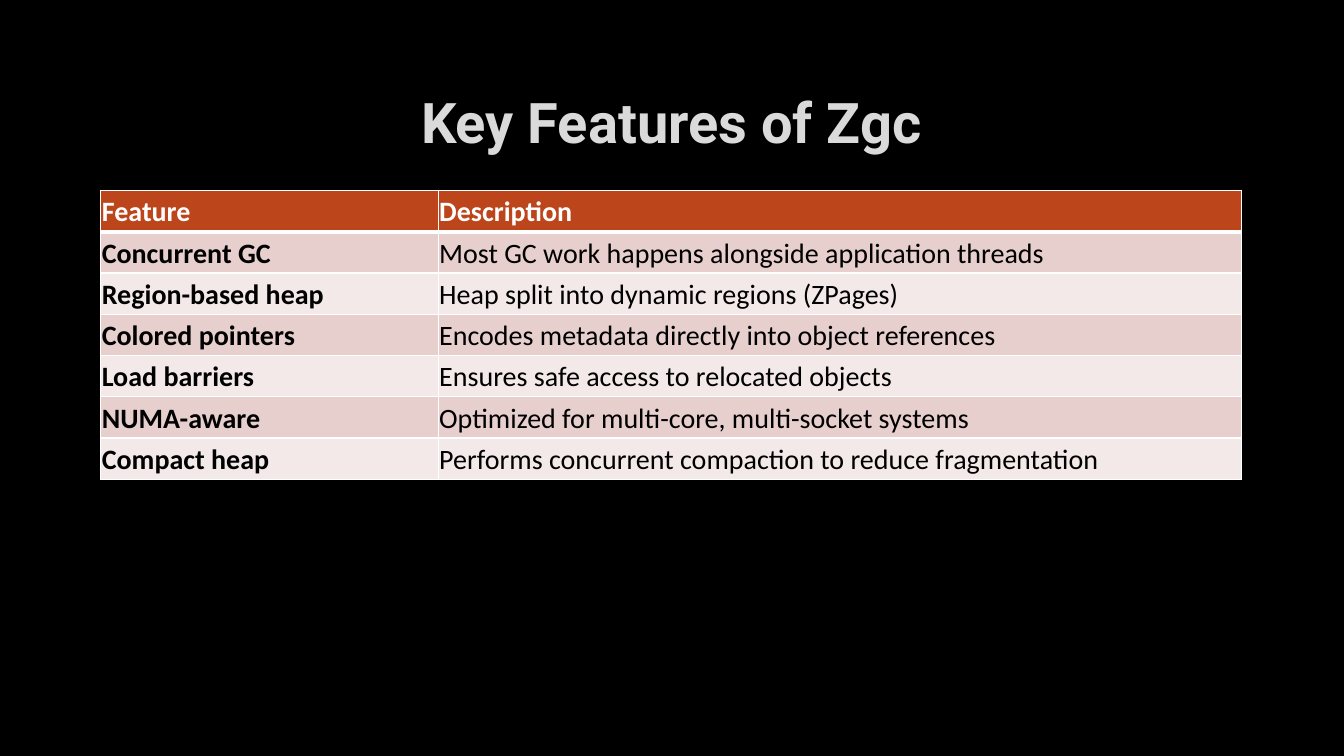
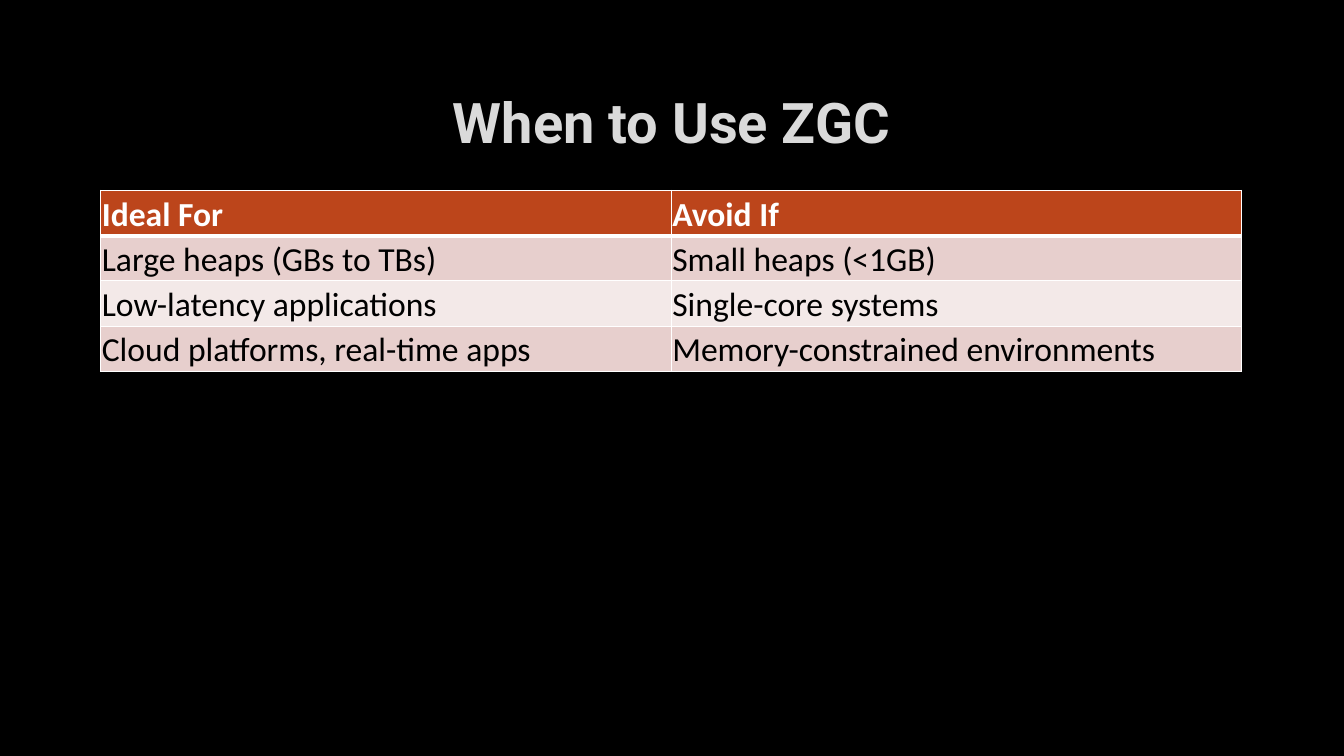
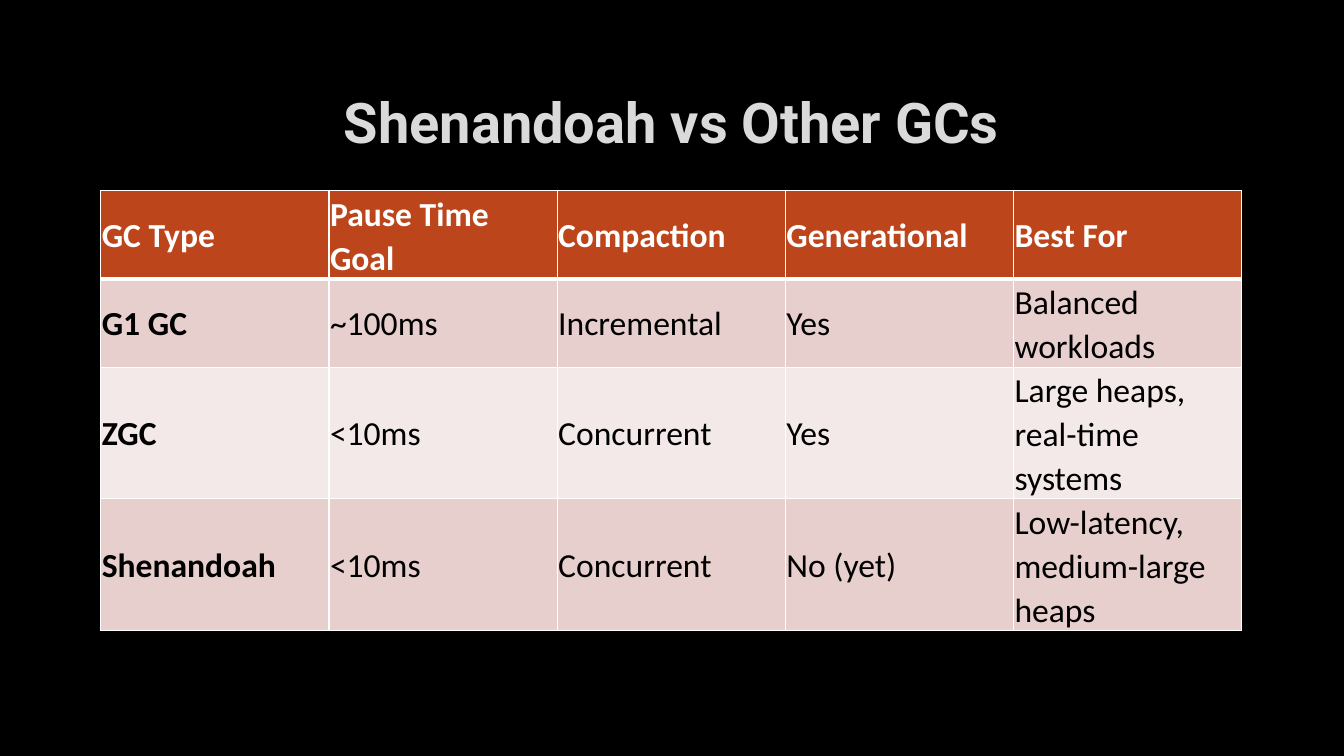
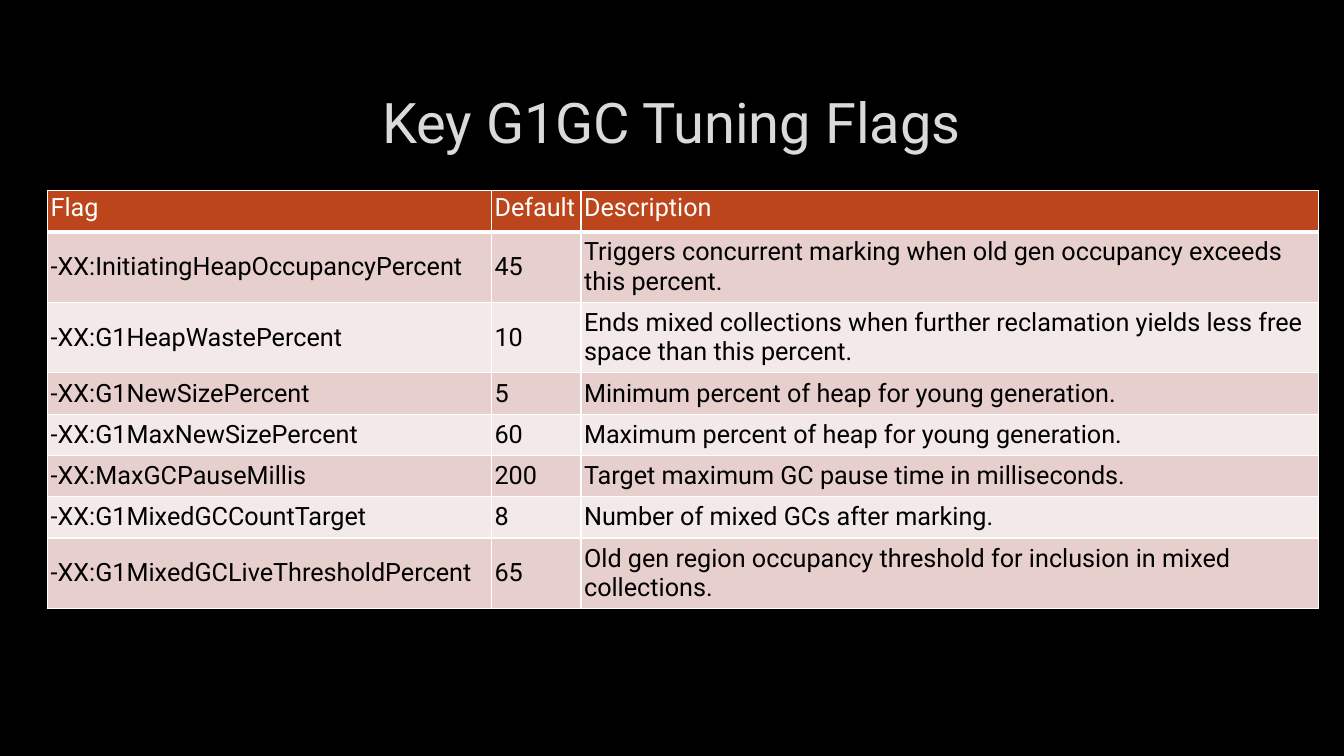
from pptx import Presentation
from pptx.dml.color import RGBColor
from pptx.enum.text import MSO_ANCHOR, PP_ALIGN
from pptx.oxml.ns import qn
from pptx.util import Pt
from lxml.etree import SubElement

BLACK = RGBColor(0x00, 0x00, 0x00)
WHITE = RGBColor(0xFF, 0xFF, 0xFF)
TITLE_GREY = RGBColor(0xDA, 0xDA, 0xDA)
RUST = RGBColor(0xBC, 0x45, 0x1B)
BANDS = [RGBColor(0xE7, 0xCF, 0xCD), RGBColor(0xF3, 0xE9, 0xE8)]

TABLE_TOP, ROW_HEIGHT = 136, 29.5

# Table looks: cell insets are (horizontal, vertical)
CALIBRI = dict(font="Calibri", bold_header=True, spacing=1.07, after=8,
               header_anchor=MSO_ANCHOR.MIDDLE,
               header_inset=(0.75, 0.75), body_inset=(0.75, 0.75))
ROBOTO = dict(font="Roboto", bold_header=False, spacing=1, after=0,
              header_anchor=MSO_ANCHOR.TOP,
              header_inset=(2.25, 2.25), body_inset=(2.25, 3.6))

# Content: the first row of each table is its header
SLIDES = [
    dict(title="Key Features of Zgc", bold_title=True, look=CALIBRI, size=20,
         left=72, columns=[241, 574], bold_first=True, rows=[
             ("Feature", "Description"),
             ("Concurrent GC", "Most GC work happens alongside application threads"),
             ("Region-based heap", "Heap split into dynamic regions (ZPages)"),
             ("Colored pointers", "Encodes metadata directly into object references"),
             ("Load barriers", "Ensures safe access to relocated objects"),
             ("NUMA-aware", "Optimized for multi-core, multi-socket systems"),
             ("Compact heap", "Performs concurrent compaction to reduce fragmentation"),
         ]),
    dict(title="When to Use ZGC", bold_title=True, look=CALIBRI, size=24,
         left=72, columns=[407.5] * 2, bold_first=False, rows=[
             ("Ideal For", "Avoid If"),
             ("Large heaps (GBs to TBs)", "Small heaps (<1GB)"),
             ("Low-latency applications", "Single-core systems"),
             ("Cloud platforms, real-time apps", "Memory-constrained environments"),
         ]),
    dict(title="Shenandoah vs Other GCs", bold_title=True, look=CALIBRI, size=24,
         left=72, columns=[163] * 5, bold_first=True, rows=[
             ("GC Type", "Pause Time Goal", "Compaction", "Generational", "Best For"),
             ("G1 GC", "~100ms", "Incremental", "Yes", "Balanced workloads"),
             ("ZGC", "<10ms", "Concurrent", "Yes", "Large heaps, real-time systems"),
             ("Shenandoah", "<10ms", "Concurrent", "No (yet)",
              "Low-latency, medium-large heaps"),
         ]),
    dict(title="Key G1GC Tuning Flags", bold_title=False, look=ROBOTO, size=18,
         left=34, columns=[317, 64, 527], bold_first=False, rows=[
             ("Flag", "Default", "Description"),
             ("-XX:InitiatingHeapOccupancyPercent", "45",
              "Triggers concurrent marking when old gen occupancy exceeds this percent."),
             ("-XX:G1HeapWastePercent", "10",
              "Ends mixed collections when further reclamation yields less free space "
              "than this percent."),
             ("-XX:G1NewSizePercent", "5", "Minimum percent of heap for young generation."),
             ("-XX:G1MaxNewSizePercent", "60", "Maximum percent of heap for young generation."),
             ("-XX:MaxGCPauseMillis", "200", "Target maximum GC pause time in milliseconds."),
             ("-XX:G1MixedGCCountTarget", "8", "Number of mixed GCs after marking."),
             ("-XX:G1MixedGCLiveThresholdPercent", "65",
              "Old gen region occupancy threshold for inclusion in mixed collections."),
         ]),
]


def set_font(p, name, size, color, bold):
    p.font.name, p.font.size, p.font.bold = name, Pt(size), bold
    p.font.color.rgb = color


def add_title(slide, text, bold):
    tf = slide.shapes.add_textbox(Pt(72), Pt(48), Pt(815), Pt(76.5)).text_frame
    tf.word_wrap = True
    tf.vertical_anchor = MSO_ANCHOR.MIDDLE
    p = tf.paragraphs[0]
    p.text = text
    p.alignment = PP_ALIGN.CENTER
    set_font(p, "Roboto", 40, TITLE_GREY, bold)


def set_borders(cell, top, bottom):
    tc_pr = cell._tc.get_or_add_tcPr()
    for side, width in (("L", 1), ("R", 1), ("T", top), ("B", bottom)):
        ln = SubElement(tc_pr, qn(f"a:ln{side}"), w=str(Pt(width)))
        SubElement(SubElement(ln, qn("a:solidFill")), qn("a:srgbClr"), val=str(WHITE))


def fill_cell(cell, text, row, bold, look, size):
    header = row == 0
    # The rule under the header is thicker
    set_borders(cell, top=3 if row == 1 else 1, bottom=3 if header else 1)
    cell.fill.solid()
    cell.fill.fore_color.rgb = RUST if header else BANDS[(row - 1) % 2]
    across, down = look["header_inset" if header else "body_inset"]
    cell.margin_left = cell.margin_right = Pt(across)
    cell.margin_top = cell.margin_bottom = Pt(down)
    cell.vertical_anchor = look["header_anchor"] if header else MSO_ANCHOR.MIDDLE
    p = cell.text_frame.paragraphs[0]
    p.text = text
    p.line_spacing, p.space_after = look["spacing"], Pt(look["after"])
    set_font(p, look["font"], size, WHITE if header else BLACK, bold)


def add_data_table(slide, rows, columns, left, look, size, bold_first):
    table = slide.shapes.add_table(
        len(rows), len(columns), Pt(left), Pt(TABLE_TOP),
        Pt(sum(columns)), Pt(ROW_HEIGHT * len(rows))).table
    table.first_row = table.horz_banding = False
    for column, width in zip(table.columns, columns):
        column.width = Pt(width)
    for r, texts in enumerate(rows):
        for c, text in enumerate(texts):
            bold = look["bold_header"] if r == 0 else bold_first and c == 0
            fill_cell(table.cell(r, c), text, r, bold, look, size)


def main():
    prs = Presentation()
    prs.slide_width, prs.slide_height = Pt(960), Pt(540)
    # Shared black background
    background = prs.slide_master.background.fill
    background.solid()
    background.fore_color.rgb = BLACK

    for content in SLIDES:
        slide = prs.slides.add_slide(prs.slide_layouts[6])
        add_title(slide, content["title"], content["bold_title"])
        add_data_table(slide, content["rows"], content["columns"], content["left"],
                       content["look"], content["size"], content["bold_first"])
    prs.save("out.pptx")


if __name__ == "__main__":
    main()
